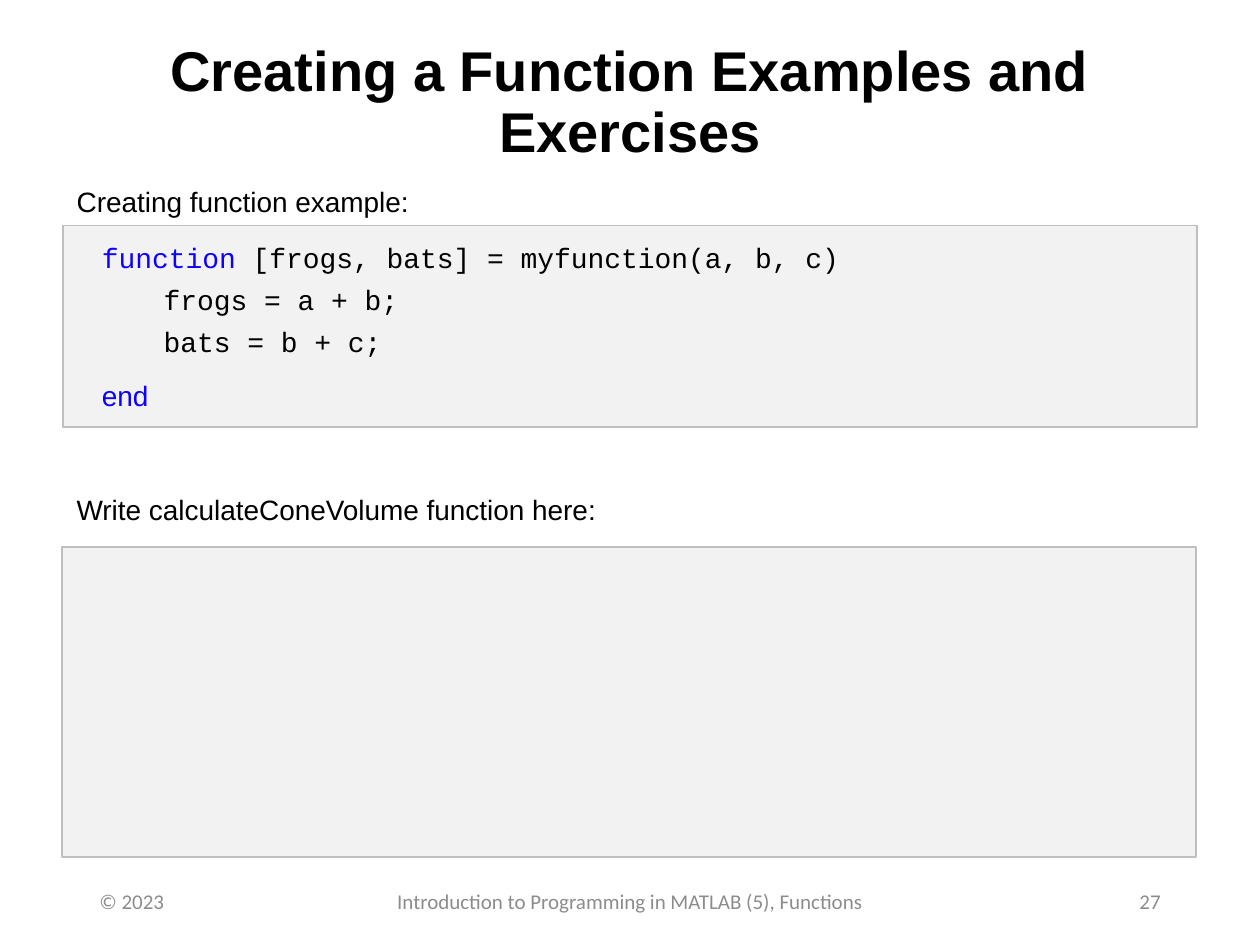
"""Build the slide with a function example and an empty exercise panel."""
import pptx
import pptx.dml.color
import pptx.enum.shapes
import pptx.enum.text
import pptx.util

Inches = pptx.util.Inches
Pt = pptx.util.Pt
Align = pptx.enum.text.PP_ALIGN
Anchor = pptx.enum.text.MSO_ANCHOR

BLACK = pptx.dml.color.RGBColor(0x00, 0x00, 0x00)
KEYWORD_BLUE = pptx.dml.color.RGBColor(0x0E, 0x00, 0xFF)
FOOTER_GRAY = pptx.dml.color.RGBColor(0x8C, 0x8C, 0x8C)
PANEL_FILL = pptx.dml.color.RGBColor(0xF2, 0xF2, 0xF2)
PANEL_LINE = pptx.dml.color.RGBColor(0xBF, 0xBF, 0xBF)


def add_span(para, text, size, font, color, bold=False):
    span = para.add_run()
    span.text = text
    span.font.size = Pt(size)
    span.font.name = font
    span.font.bold = bold
    span.font.color.rgb = color


def add_panel(page, left, top, width, height):
    panel = page.shapes.add_shape(
        pptx.enum.shapes.MSO_SHAPE.RECTANGLE,
        Inches(left), Inches(top), Inches(width), Inches(height))
    panel.shadow.inherit = False
    panel.fill.solid()
    panel.fill.fore_color.rgb = PANEL_FILL
    panel.line.color.rgb = PANEL_LINE
    panel.line.width = Pt(1)


deck = pptx.Presentation()
deck.slide_width = Inches(10)
deck.slide_height = Inches(7.5)
page = deck.slides.add_slide(deck.slide_layouts.get_by_name("Title Only"))

title = page.shapes.title
title.left, title.top = Inches(0.69), Inches(0.4)
title.width, title.height = Inches(8.62), Inches(0.85)
title.text_frame.auto_size = pptx.enum.text.MSO_AUTO_SIZE.NONE
title.text_frame.vertical_anchor = Anchor.MIDDLE
para = title.text_frame.paragraphs[0]
para.alignment = Align.CENTER
para.line_spacing = 0.9
para.space_before = para.space_after = Pt(7)
add_span(para, "Creating a Function Examples and Exercises", 32, "Arial", BLACK, True)

add_panel(page, 0.5, 1.79, 9, 1.6)

# Each line: indent, line spacing, space before, space after, spans.
body_lines = [
    (0, 1.07, 10.5, 10.5, [("Creating function example:", "Arial", BLACK)]),
    (0.2, Pt(14), 7, 0, [("function ", "Courier New", KEYWORD_BLUE),
                         ("[frogs, bats] = myfunction(a, b, c)", "Courier New", BLACK)]),
    (0.69, Pt(14), 10, 0, [("frogs = a + b;", "Courier New", BLACK)]),
    (0.69, Pt(14), 10, 7, [("bats = b + c;", "Courier New", BLACK)]),
    (0.2, Pt(14), 10, 7, [("end", "Arial", KEYWORD_BLUE)]),
    (0, 0.9, 41, 0, [("Write calculateConeVolume function here:", "Arial", BLACK)]),
]
body = page.shapes.add_textbox(Inches(0.51), Inches(1.4), Inches(8.89), Inches(5.59))
frame = body.text_frame
frame.word_wrap = True
for index, (indent, spacing, before, after, spans) in enumerate(body_lines):
    para = frame.add_paragraph() if index else frame.paragraphs[0]
    para.line_spacing = spacing
    para.space_before, para.space_after = Pt(before), Pt(after)
    para._p.get_or_add_pPr().set("marL", str(Inches(indent)))
    for text, font, color in spans:
        add_span(para, text, 16, font, color)

footers = [
    (0.69, 2.25, Align.LEFT, "© 2023"),
    (1.86, 6.28, Align.CENTER, "Introduction to Programming in MATLAB (5), Functions"),
    (7.06, 2.25, Align.RIGHT, "27"),
]
for left, width, alignment, text in footers:
    footer = page.shapes.add_textbox(Inches(left), Inches(6.95), Inches(width), Inches(0.4))
    footer.text_frame.word_wrap = True
    footer.text_frame.vertical_anchor = Anchor.MIDDLE
    para = footer.text_frame.paragraphs[0]
    para.alignment = alignment
    add_span(para, text, 12, "Calibri", FOOTER_GRAY)

add_panel(page, 0.49, 4.34, 9, 2.46)

deck.save("out.pptx")
